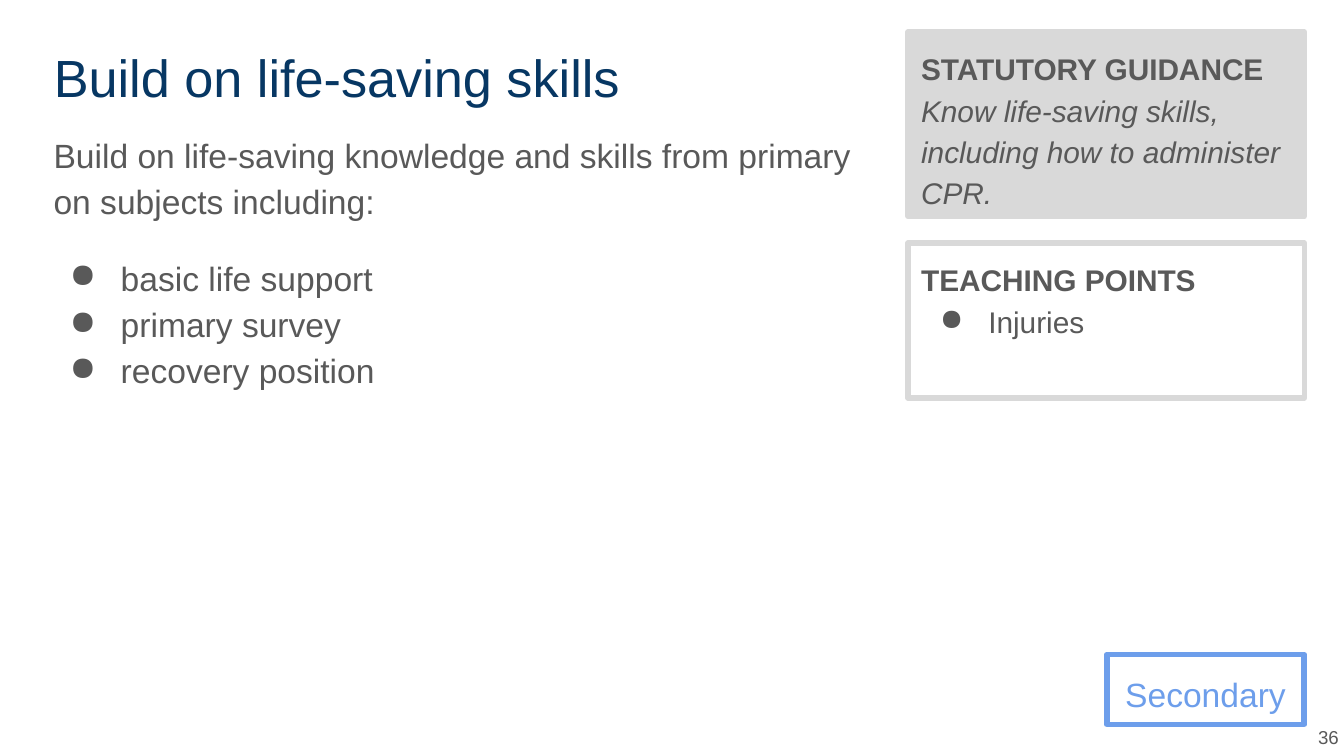
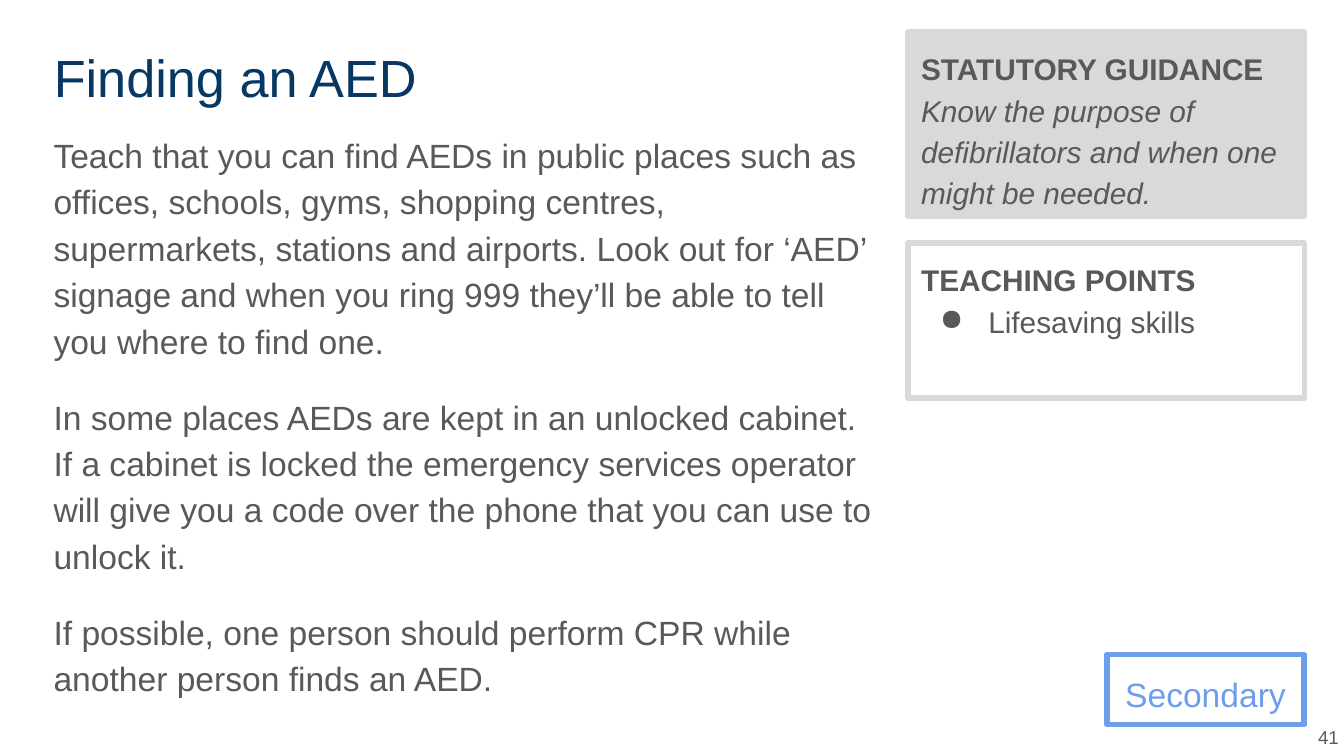
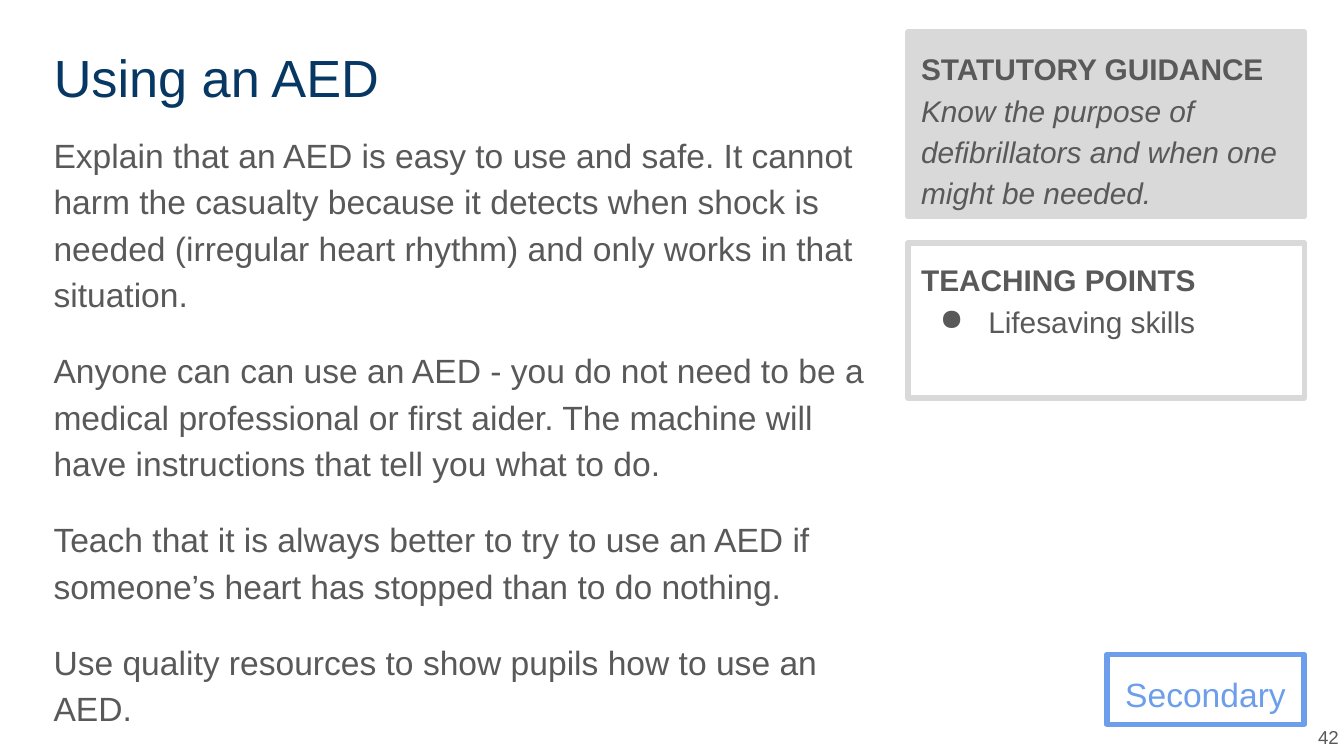
from lxml import etree
from pptx import Presentation
from pptx import util as u
from pptx.dml.color import RGBColor
from pptx.enum import shapes, text
from pptx.oxml import ns

COLORS = {"title": "073763", "body": "595959", "panel": "D9D9D9", "phase": "6D9EEB"}
FONT = "Arial"
TITLE_ONLY = 5

# Grid: one unit is a hundredth of the slide's width, across and down
WIDTH, HEIGHT = u.Inches(10), u.Inches(5.625)
UNIT = WIDTH / 100
MARGIN, TOP = 3, 2.4
RAIL_RIGHT = 97.05
RAIL_WIDTH = 29.5
RAIL_LEFT = RAIL_RIGHT - RAIL_WIDTH
GUIDANCE_HEIGHT, POINTS_HEIGHT, RAIL_GAP = 13.7, 11.5, 2
TITLE_FRAME = (MARGIN, TOP, 96.3, 6.3)
BODY_FRAME = (MARGIN, 8.6, 63.2, 45.5)
GUIDANCE_FRAME = (RAIL_LEFT, TOP, RAIL_WIDTH, GUIDANCE_HEIGHT)
POINTS_FRAME = (RAIL_LEFT, TOP + GUIDANCE_HEIGHT + RAIL_GAP, RAIL_WIDTH, POINTS_HEIGHT)
PHASE_FRAME = (RAIL_RIGHT - 14.7, 48.7, 14.7, 5.2)
NUMBER_FRAME = (94.6, 52.7, 6, 4.3)

AED_GUIDANCE = "Know the purpose of defibrillators and when one might be needed."

SLIDES = [
    {
        "title": "Build on life-saving skills",
        "paragraphs": ["Build on life-saving knowledge and skills from primary on subjects including:"],
        "bullets": ["basic life support", "primary survey", "recovery position"],
        "guidance": "Know life-saving skills, including how to administer CPR.",
        "point": "Injuries",
        "number": "36",
    },
    {
        "title": "Finding an AED",
        "paragraphs": [
            "Teach that you can find AEDs in public places such as offices, schools, gyms, "
            "shopping centres, supermarkets, stations and airports. Look out for ‘AED’ signage "
            "and when you ring 999 they’ll be able to tell you where to find one.",
            "In some places AEDs are kept in an unlocked cabinet. If a cabinet is locked the "
            "emergency services operator will give you a code over the phone that you can use "
            "to unlock it.",
            "If possible, one person should perform CPR while another person finds an AED.",
        ],
        "bullets": [],
        "guidance": AED_GUIDANCE,
        "point": "Lifesaving skills",
        "number": "41",
    },
    {
        "title": "Using an AED",
        "paragraphs": [
            "Explain that an AED is easy to use and safe. It cannot harm the casualty because it "
            "detects when shock is needed (irregular heart rhythm) and only works in that situation.",
            "Anyone can can use an AED - you do not need to be a medical professional or first "
            "aider. The machine will have instructions that tell you what to do.",
            "Teach that it is always better to try to use an AED if someone’s heart has stopped "
            "than to do nothing.",
            "Use quality resources to show pupils how to use an AED.",
        ],
        "bullets": [],
        "guidance": AED_GUIDANCE,
        "point": "Lifesaving skills",
        "number": "42",
    },
]


def rgb(name):
    return RGBColor.from_string(COLORS[name])


def emu(frame):
    return [round(length * UNIT) for length in frame]


# Text
def prepare(box, anchor=text.MSO_ANCHOR.TOP):
    frame = box.text_frame
    frame.word_wrap = True
    frame.auto_size = text.MSO_AUTO_SIZE.NONE
    frame.vertical_anchor = anchor
    frame.margin_left = frame.margin_right = u.Inches(0.1)
    frame.margin_top = frame.margin_bottom = u.Inches(0.1)
    return frame


def add_para(frame, align=text.PP_ALIGN.LEFT, spacing=1.15, before=0):
    first = frame.paragraphs[0]
    para = frame.add_paragraph() if first.runs else first
    para.alignment = align
    para.line_spacing = spacing
    para.space_before = u.Pt(before)
    return para


def add_span(para, words, size, color="body", bold=False, italic=False):
    span = para.add_run()
    span.text = words
    font = span.font
    font.name, font.size = FONT, u.Pt(size)
    font.bold, font.italic = bold, italic
    font.color.rgb = rgb(color)


def add_bullet(frame, words, size, hanging, before=0):
    para = add_para(frame, before=before)
    properties = para._p.get_or_add_pPr()
    properties.set("marL", str(u.Inches(0.5)))
    properties.set("indent", str(-u.Inches(hanging)))
    color = etree.SubElement(properties, ns.qn("a:buClr"))
    etree.SubElement(color, ns.qn("a:srgbClr"), val=COLORS["body"])
    etree.SubElement(properties, ns.qn("a:buChar"), char="●")
    add_span(para, words, size)


# Elements
def add_title(page, words):
    box = page.shapes.title
    box.left, box.top, box.width, box.height = emu(TITLE_FRAME)
    add_span(add_para(prepare(box), spacing=1.0), words, 28, "title")


def add_body(page, paragraphs, bullets):
    frame = prepare(page.shapes.add_textbox(*emu(BODY_FRAME)))
    for index, words in enumerate(paragraphs):
        add_span(add_para(frame, before=16 if index else 0), words, 18)
    for index, words in enumerate(bullets):
        add_bullet(frame, words, 18, 0.38, before=0 if index else 16)


def add_panel(page, place, line, fill=None):
    box = page.shapes.add_shape(shapes.MSO_SHAPE.RECTANGLE, *emu(place))
    box.shadow.inherit = False
    if fill:
        box.fill.solid()
        box.fill.fore_color.rgb = rgb(fill)
    else:
        box.fill.background()
    box.line.color.rgb = rgb(line)
    box.line.width = u.Pt(3)
    return prepare(box)


def add_phase(page):
    frame = add_panel(page, PHASE_FRAME, "phase")
    add_span(add_para(frame, text.PP_ALIGN.CENTER), "Secondary", 18, "phase")


def add_guidance(page, words):
    para = add_para(add_panel(page, GUIDANCE_FRAME, "panel", "panel"))
    add_span(para, "STATUTORY GUIDANCE ", 16, bold=True)
    para.add_line_break()
    add_span(para, words, 16, italic=True)


def add_teaching_point(page, words):
    frame = add_panel(page, POINTS_FRAME, "panel")
    add_span(add_para(frame), "TEACHING POINTS", 16, bold=True)
    add_bullet(frame, words, 16, 0.36)


def add_number(page, number):
    frame = prepare(page.shapes.add_textbox(*emu(NUMBER_FRAME)), text.MSO_ANCHOR.MIDDLE)
    add_span(add_para(frame, text.PP_ALIGN.RIGHT, 1.0), number, 10)


def main():
    deck = Presentation()
    deck.slide_width, deck.slide_height = WIDTH, HEIGHT
    for content in SLIDES:
        page = deck.slides.add_slide(deck.slide_layouts[TITLE_ONLY])
        add_title(page, content["title"])
        add_body(page, content["paragraphs"], content["bullets"])
        add_phase(page)
        add_guidance(page, content["guidance"])
        add_teaching_point(page, content["point"])
        add_number(page, content["number"])
    deck.save("out.pptx")


if __name__ == "__main__":
    main()
